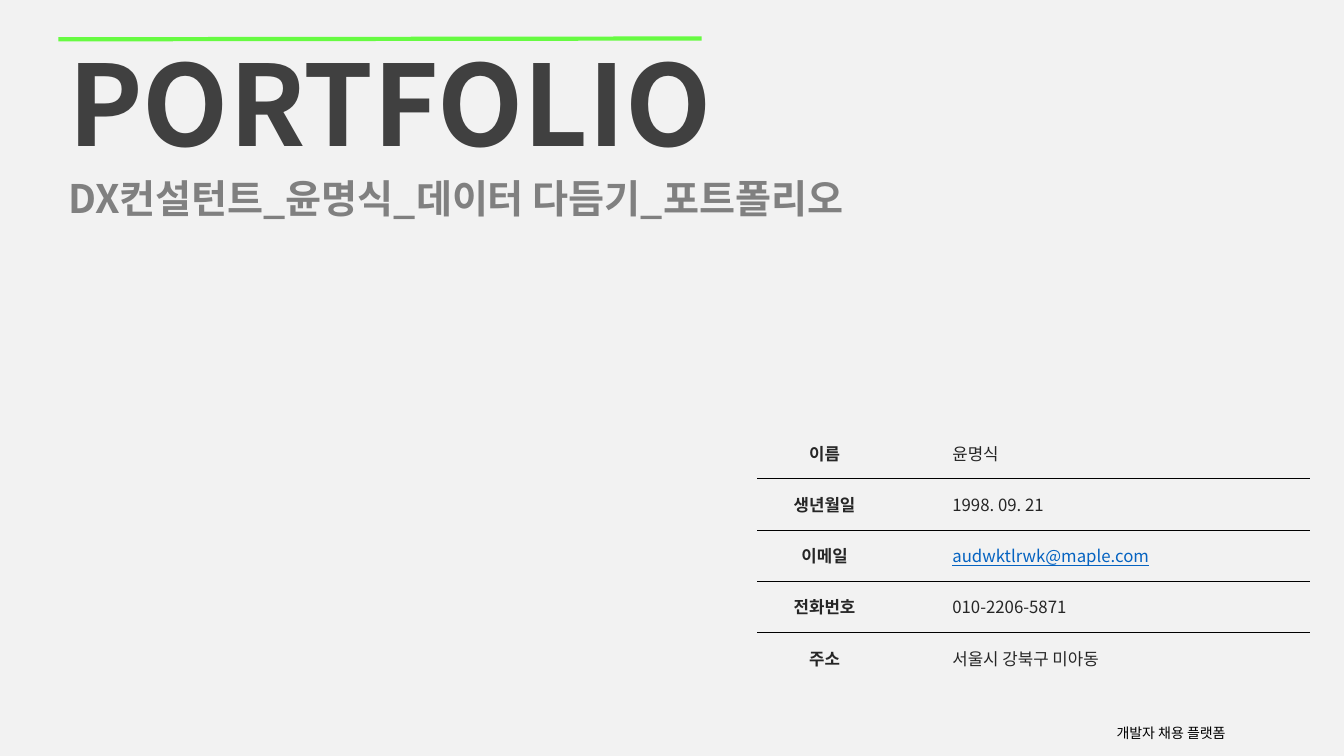
from lxml.etree import SubElement
from pptx import Presentation
from pptx.dml.color import RGBColor
from pptx.enum.shapes import MSO_CONNECTOR as Connector
from pptx.enum.text import MSO_ANCHOR as Anchor, MSO_AUTO_SIZE as AutoSize, PP_ALIGN as Align
from pptx.oxml import parse_xml
from pptx.oxml.ns import nsdecls, qn
from pptx.util import Cm, Pt

FONT = "Noto Sans CJK KR"
PROFILE = [
    ("이름", "윤명식"),
    ("생년월일", "1998. 09. 21"),
    ("이메일", "audwktlrwk@maple.com"),
    ("전화번호", "010-2206-5871"),
    ("주소", "서울시 강북구 미아동"),
]


def color(value):
    return RGBColor.from_string(value)


def apply_format(target, values):
    for name, value in values.items():
        setattr(target, name, value)


def write_text(frame, text, hex_color, font, layout=None):
    paragraph = frame.paragraphs[0]
    apply_format(paragraph, layout or {})
    run = paragraph.add_run()
    run.text = text
    apply_format(run.font, {"name": FONT, **font})
    run.font.color.rgb = color(hex_color)
    SubElement(run.font._element, qn("a:ea")).set("typeface", FONT)


def add_label(slide, box, text, hex_color, font, layout=None, auto_size=AutoSize.SHAPE_TO_FIT_TEXT):
    shape = slide.shapes.add_textbox(*map(Cm, box))
    apply_format(shape.text_frame, {"word_wrap": True, "auto_size": auto_size})
    write_text(shape.text_frame, text, hex_color, font, layout)


def add_rule(slide, start, end, hex_color, width):
    line = slide.shapes.add_connector(Connector.STRAIGHT, *map(Cm, start + end))
    line.line.color.rgb = color(hex_color)
    line.line.width = Pt(width)
    SubElement(line._element.spPr, qn("a:effectLst"))


def set_borders(cell, visible_sides):
    properties = cell._tc.get_or_add_tcPr()
    for position, side in enumerate("LRTB"):
        if side in visible_sides:
            paint = '<a:solidFill><a:srgbClr val="000000"/></a:solidFill>'
        else:
            paint = "<a:noFill/>"
        border = f'<a:ln{side} {nsdecls("a")} w="{Pt(0.25)}">{paint}</a:ln{side}>'
        properties.insert(position, parse_xml(border))


def add_profile_table(slide, box, column_widths, rows):
    table = slide.shapes.add_table(len(rows), len(column_widths), *map(Cm, box)).table
    apply_format(table, {"first_row": False, "horz_banding": False})
    for column, width in zip(table.columns, column_widths):
        column.width = Cm(width)
    for index, (name, value) in enumerate(rows):
        sides = ("T" if index else "") + ("B" if index < len(rows) - 1 else "")
        name_cell, value_cell = table.rows[index].cells
        for cell in (name_cell, value_cell):
            cell.vertical_anchor = Anchor.MIDDLE
            cell.fill.background()
            set_borders(cell, sides)
        value_cell.margin_left = Cm(1.52)
        is_email = "@" in value
        write_text(name_cell.text_frame, name, "262626",
                   {"size": Pt(12), "bold": True}, {"alignment": Align.CENTER})
        write_text(value_cell.text_frame, value, "0563C1" if is_email else "262626",
                   {"size": Pt(12), "bold": False, "underline": is_email})


def main():
    presentation = Presentation()
    apply_format(presentation, {"slide_width": Cm(33.87), "slide_height": Cm(19.05)})
    slide = presentation.slides.add_slide(presentation.slide_layouts[6])
    slide.background.fill.solid()
    slide.background.fill.fore_color.rgb = color("F2F2F2")

    add_label(slide, (27.89, 18.14, 4.11, 0.71), "개발자 채용 플랫폼", "000000", {"size": Pt(10)})
    add_label(slide, (1.47, 0.74, 22.15, 3.68), "PORTFOLIO", "404040",
              {"size": Pt(80), "bold": True})
    add_rule(slide, (1.47, 0.99), (17.68, 0.97), "67FB42", 3)
    add_profile_table(slide, (19.08, 10.77, 13.94, 6.45), (3.4, 10.54), PROFILE)
    add_label(slide, (1.47, 4.39, 31.04, 2.13), "DX컨설턴트_윤명식_데이터 다듬기_포트폴리오",
              "808080", {"size": Pt(28), "bold": True},
              {"line_spacing": 0.9, "space_before": Pt(10)}, AutoSize.NONE)
    presentation.save("out.pptx")


if __name__ == "__main__":
    main()
